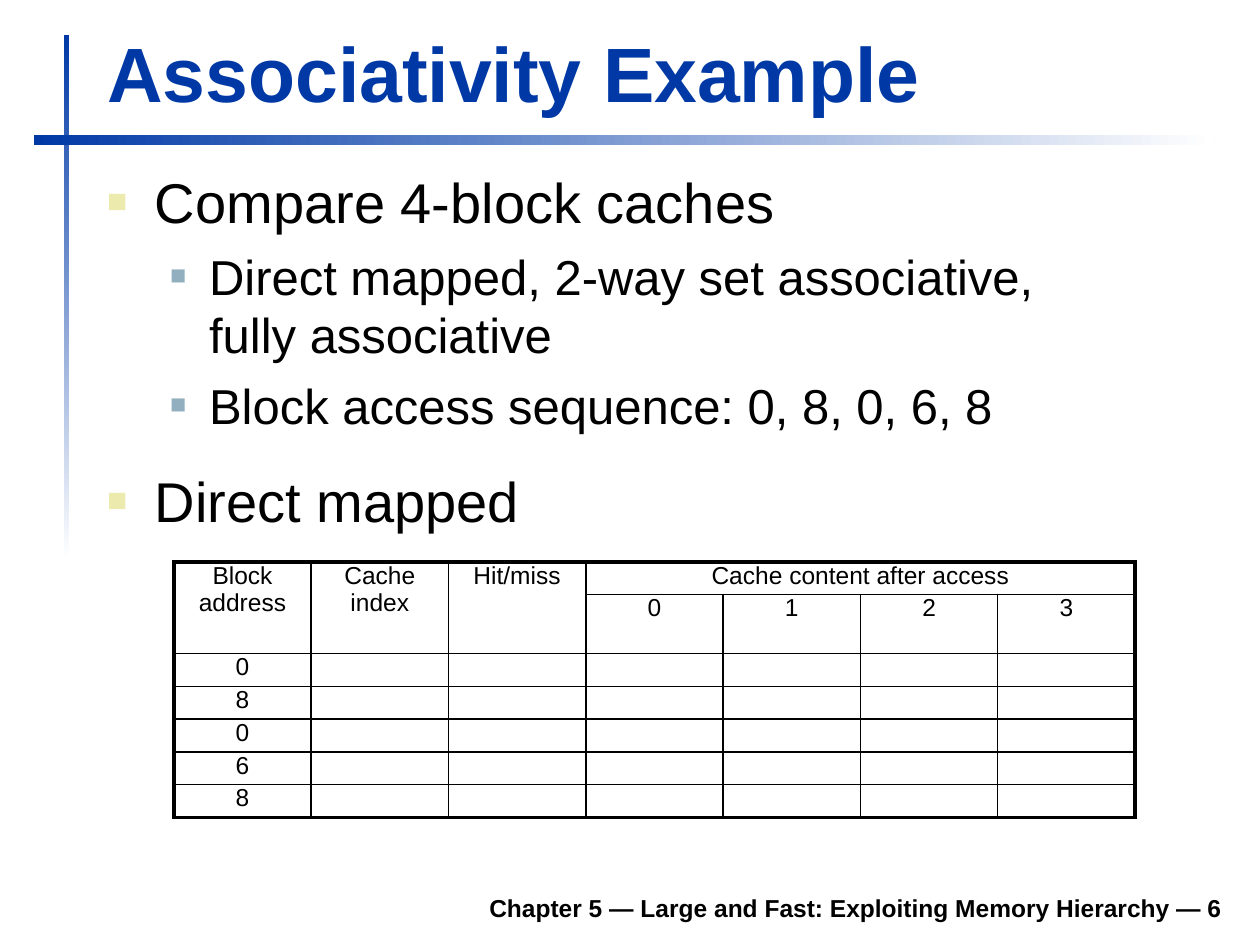
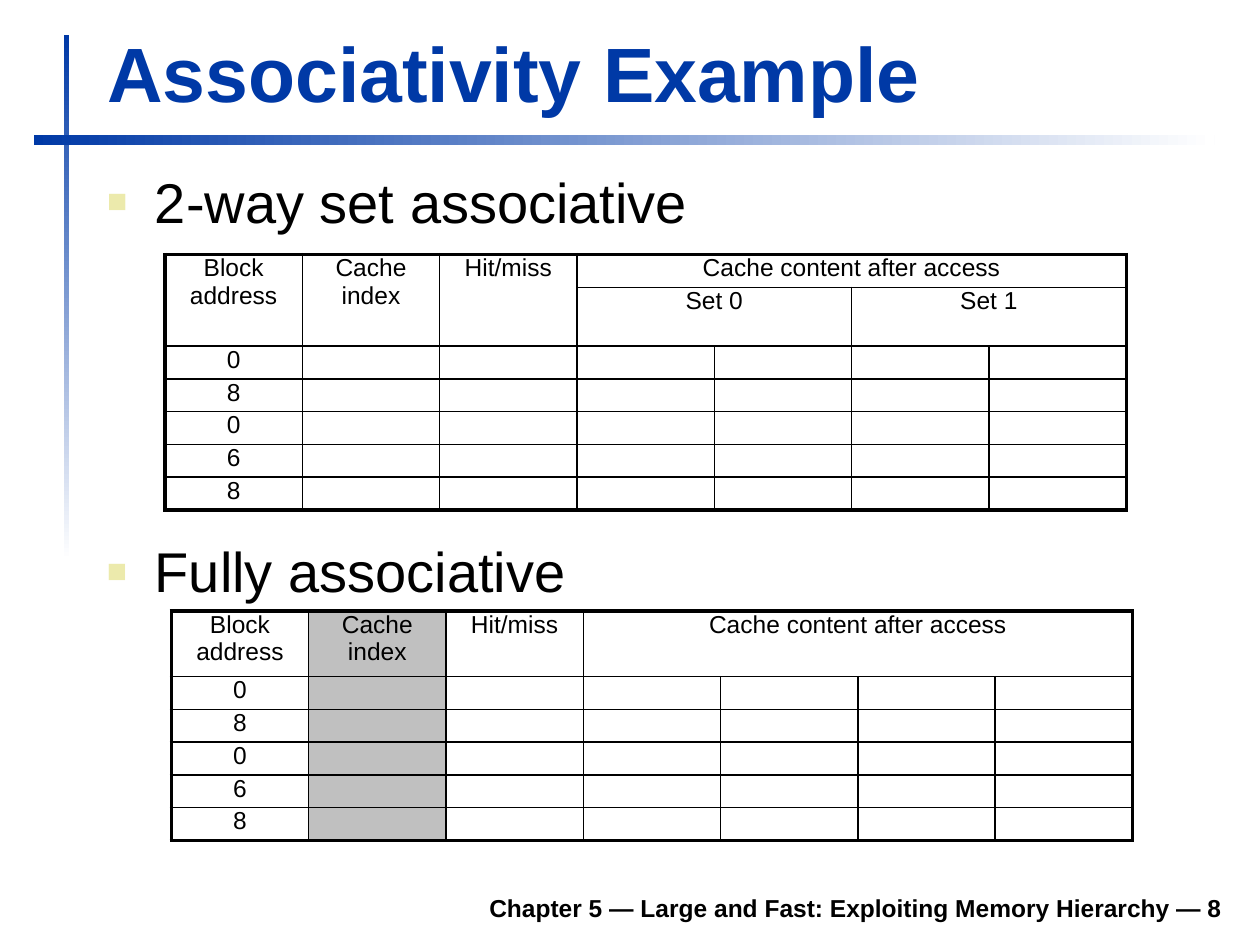
from lxml import etree
from pptx import Presentation
from pptx.dml.color import RGBColor
from pptx.enum.shapes import MSO_SHAPE
from pptx.enum.text import MSO_ANCHOR, MSO_AUTO_SIZE, PP_ALIGN
from pptx.oxml.ns import qn
from pptx.util import Inches, Pt

BLUE = RGBColor(0x00, 0x39, 0xA6)
WHITE = RGBColor(0xFF, 0xFF, 0xFF)
BLACK = RGBColor(0x00, 0x00, 0x00)
GREY = RGBColor(0xC0, 0xC0, 0xC0)
SAND = RGBColor(0xEC, 0xEA, 0xAC)
STEEL = RGBColor(0x91, 0xAF, 0xBF)
FONT = "Arial"
PLAIN_GRID_STYLE = "{2D5ABB26-0587-4C30-8999-92F81FD0307C}"

TITLE = "Associativity Example"
FOOTER = "Chapter 5 — Large and Fast: Exploiting Memory Hierarchy — {}"
HEADINGS = ["Block address", "Cache index", "Hit/miss"]
CONTENT_HEADING = "Cache content after access"
ACCESSES = ["0", "8", "0", "6", "8"]
BLOCKS = 4

# Bullets are (level, text, space before in points)
SLIDES = [
    {
        "number": 6,
        "body_height": 3.07,
        "bullets": [
            (0, "Compare 4-block caches", 0),
            (1, "Direct mapped, 2-way set associative,\nfully associative", 6.5),
            (1, "Block access sequence: 0, 8, 0, 6, 8", 6.5),
            (0, "Direct mapped", 18.5),
        ],
        "tables": [{"at": (1.38, 4.46), "places": ["0", "1", "2", "3"]}],
    },
    {
        "number": 8,
        "body_height": 0.79,
        "bullets": [(0, "2-way set associative", 0)],
        "second_heading": "Fully associative",
        "tables": [
            {"at": (1.36, 4.85), "places": [], "shaded_column": 1},
            {"at": (1.31, 2.02), "places": ["Set 0", "Set 1"]},
        ],
    },
]

TITLE_BOX = (0.75, 0.16, 9.03, 0.83)
FOOTER_BOX = (1.85, 6.98, 7.95, 0.39)
SECOND_HEADING_BOX = (0.75, 4.22, 8.5, 0.63)
BODY_LEFT, BODY_TOP, BODY_WIDTH = 0.75, 1.23, 9.05
BANDS = [((0.51, 0.28, 0.04, 4.17), 270), ((0.27, 1.07, 9.37, 0.08), 0)]
LEVELS = [
    {"size": 32, "left": 0.38, "hang": 0.38, "color": SAND, "percent": 60},
    {"size": 28, "left": 0.81, "hang": 0.31, "color": STEEL, "percent": 55},
]
COLUMN_WIDTH, ROW_HEIGHT = 1.09, 0.26
THIN, THICK = Pt(1), Pt(2.25)


def place(shape, box):
    for side, length in zip(("left", "top", "width", "height"), box):
        setattr(shape, side, Inches(length))


def set_text(paragraph, text, size, color=BLACK, bold=False):
    paragraph.text = text
    font_values = {"name": FONT, "size": Pt(size), "bold": bold}
    for run in paragraph.runs:
        for key, value in font_values.items():
            setattr(run.font, key, value)
        run.font.color.rgb = color


def add_bands(slide, layout):
    """Draw the two fading bands and move them to the layout, behind all else."""
    for number, (box, angle) in enumerate(BANDS):
        band = slide.shapes.add_shape(MSO_SHAPE.RECTANGLE, *map(Inches, box))
        band.shadow.inherit = False
        band.line.fill.background()
        band.fill.gradient()
        band.fill.gradient_angle = angle
        for stop, color in zip(band.fill.gradient_stops, (BLUE, WHITE)):
            stop.color.rgb = color
        band.element.nvSpPr.cNvPr.set("id", str(20 + number))
        layout.shapes.element.insert(2 + number, band.element)


def add_title(slide):
    title = slide.shapes.title
    place(title, TITLE_BOX)
    frame = title.text_frame
    frame.vertical_anchor = MSO_ANCHOR.BOTTOM
    frame.auto_size = MSO_AUTO_SIZE.SHAPE_TO_FIT_TEXT
    set_text(frame.paragraphs[0], TITLE, 44, BLUE, True)
    frame.paragraphs[0].alignment = PP_ALIGN.LEFT


def add_footer(slide, number):
    frame = slide.shapes.add_textbox(*map(Inches, FOOTER_BOX)).text_frame
    frame.word_wrap = True
    frame.vertical_anchor = MSO_ANCHOR.BOTTOM
    set_text(frame.paragraphs[0], FOOTER.format(number), 14, bold=True)
    frame.paragraphs[0].alignment = PP_ALIGN.RIGHT


def fill_bullets(frame, bullets):
    frame.word_wrap = True
    frame.auto_size = MSO_AUTO_SIZE.NONE
    frame.margin_top = Inches(0.1)
    for index, (level, text, space) in enumerate(bullets):
        paragraph = frame.add_paragraph() if index else frame.paragraphs[0]
        style = LEVELS[level]
        paragraph.level = level
        properties = paragraph._p.get_or_add_pPr()
        properties.set("marL", str(Inches(style["left"])))
        properties.set("indent", str(-Inches(style["hang"])))
        bullet_color = etree.SubElement(properties, qn("a:buClr"))
        etree.SubElement(bullet_color, qn("a:srgbClr"), val=str(style["color"]))
        etree.SubElement(properties, qn("a:buSzPct"), val=str(style["percent"] * 1000))
        etree.SubElement(properties, qn("a:buFont"), typeface=FONT)
        etree.SubElement(properties, qn("a:buChar"), char="■")
        paragraph.space_before = Pt(space)
        set_text(paragraph, text, style["size"])


def set_borders(cell, widths):
    properties = cell._tc.get_or_add_tcPr()
    for side, width in zip("LRTB", widths):
        line = etree.SubElement(properties, qn(f"a:ln{side}"), w=str(width))
        fill = etree.SubElement(line, qn("a:solidFill"))
        etree.SubElement(fill, qn("a:srgbClr"), val=str(BLACK))


def format_cell(cell, text, widths, shaded):
    cell.margin_left = cell.margin_right = Inches(0.1)
    cell.margin_top = cell.margin_bottom = 0
    paragraph = cell.text_frame.paragraphs[0]
    paragraph.alignment = PP_ALIGN.CENTER
    if text:
        set_text(paragraph, text, 14)
    else:
        paragraph._p.get_or_add_endParaRPr().set("sz", "1400")
    set_borders(cell, widths)
    if shaded:
        cell.fill.solid()
        cell.fill.fore_color.rgb = GREY
    else:
        cell.fill.background()


def add_cache_table(slide, at, places, shaded_column=None):
    """Add an access table; places are the labels under the content heading."""
    header_rows = 2 if places else 1
    first_block = len(HEADINGS)
    columns = first_block + BLOCKS
    rows = header_rows + len(ACCESSES)
    heights = [ROW_HEIGHT] * rows
    if not places:
        heights[0] = 2 * ROW_HEIGHT

    texts, spans = {}, {}
    for column, heading in enumerate(HEADINGS):
        texts[0, column] = heading
        spans[0, column] = (header_rows, 1)
    texts[0, first_block] = CONTENT_HEADING
    spans[0, first_block] = (1, BLOCKS)
    for index, label in enumerate(places):
        span = BLOCKS // len(places)
        texts[1, first_block + index * span] = label
        spans[1, first_block + index * span] = (1, span)
    for index, address in enumerate(ACCESSES):
        texts[header_rows + index, 0] = address

    size = (columns * COLUMN_WIDTH, sum(heights))
    table = slide.shapes.add_table(rows, columns, *map(Inches, at + size)).table
    table.first_row = table.horz_banding = False
    table._tbl.tblPr[0].text = PLAIN_GRID_STYLE
    for column in table.columns:
        column.width = Inches(COLUMN_WIDTH)
    for row, height in zip(table.rows, heights):
        row.height = Inches(height)
    for (row, column), (down, across) in spans.items():
        if down * across > 1:
            table.cell(row, column).merge(table.cell(row + down - 1, column + across - 1))

    for row in range(rows):
        for column in range(columns):
            cell = table.cell(row, column)
            down, across = spans.get((row, column), (1, 1))
            on_edge = (column == 0, column + across == columns, row == 0, row + down == rows)
            widths = [THICK if edge else THIN for edge in on_edge]
            if cell.is_spanned:
                continue
            format_cell(cell, texts.get((row, column)), widths, column == shaded_column)


def main():
    deck = Presentation()
    deck.slide_width, deck.slide_height = Inches(10), Inches(7.5)
    layout = deck.slide_layouts[1]
    for index, content in enumerate(SLIDES):
        slide = deck.slides.add_slide(layout)
        if index == 0:
            add_bands(slide, layout)
        add_footer(slide, content["number"])
        add_title(slide)
        body = slide.placeholders[1]
        place(body, (BODY_LEFT, BODY_TOP, BODY_WIDTH, content["body_height"]))
        fill_bullets(body.text_frame, content["bullets"])
        if "second_heading" in content:
            heading = slide.shapes.add_textbox(*map(Inches, SECOND_HEADING_BOX)).text_frame
            fill_bullets(heading, [(0, content["second_heading"], 0)])
            heading.paragraphs[0].line_spacing = 0.9
        for table in content["tables"]:
            add_cache_table(slide, **table)
    deck.save("out.pptx")


if __name__ == "__main__":
    main()
